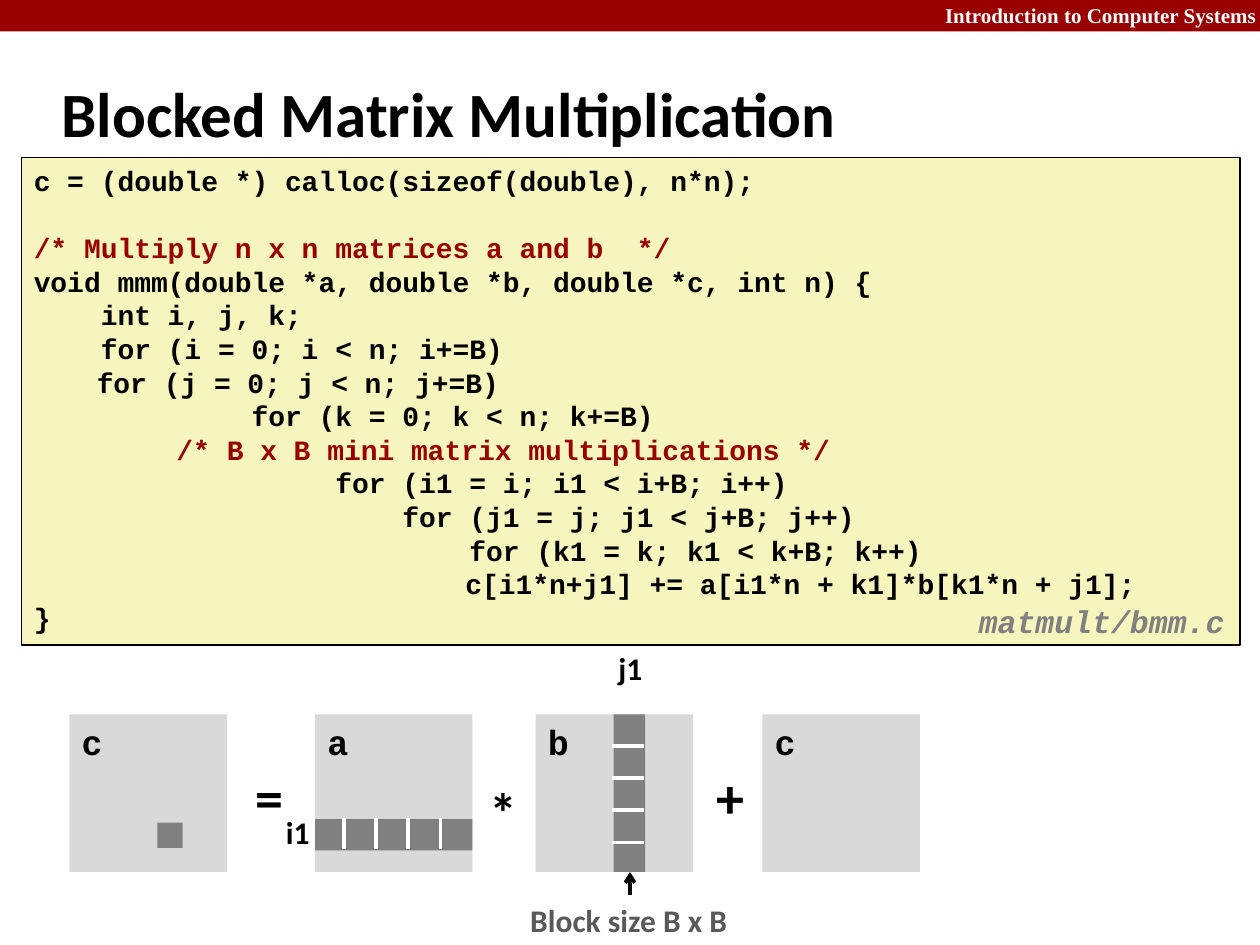
from lxml.etree import SubElement
from pptx import Presentation
from pptx.dml.color import RGBColor
from pptx.enum.shapes import MSO_CONNECTOR, MSO_SHAPE
from pptx.enum.text import MSO_ANCHOR, PP_ALIGN
from pptx.oxml.ns import qn
from pptx.util import Inches, Pt

# Content
HEAD = "Introduction to Computer Systems"
TITLE = "Blocked Matrix Multiplication"
CODE = [
    "c = (double *) calloc(sizeof(double), n*n);",
    "",
    "/* Multiply n x n matrices a and b  */",
    "void mmm(double *a, double *b, double *c, int n) {",
    "    int i, j, k;",
    "    for (i = 0; i < n; i+=B)",
    "\tfor (j = 0; j < n; j+=B)",
    "             for (k = 0; k < n; k+=B)",
    "\t\t /* B x B mini matrix multiplications */",
    "                  for (i1 = i; i1 < i+B; i++)",
    "                      for (j1 = j; j1 < j+B; j++)",
    "                          for (k1 = k; k1 < k+B; k++)",
    "\t                      c[i1*n+j1] += a[i1*n + k1]*b[k1*n + j1];",
    "}",
]
FILE = "matmult/bmm.c"
MATS = [("c", 2.2), ("a", 10), ("b", 17), ("c", 24.2)]  # name, column
SIGNS = [("=", 7.72, 24), ("*", 15.16, 24.48), ("+", 22.36, 24)]
TAGS = [("i1", 8.68, 25.6), ("j1", 19.24, 20.4)]

INK = {"red": "990000", "white": "FFFFFF", "black": "000000", "cream": "F6F5BD",
       "pale": "D9D9D9", "gray": "808080", "dark": "595959"}
MONO = "Courier New"

# Grid of 40 columns by 30 rows; one block is one cell
CELL = 0.25
SIDE = 5       # blocks along a matrix side
TOP = 22.68    # row where the matrices start
STEP = 1.02    # gap between block dividers

deck = Presentation()
deck.slide_width, deck.slide_height = Inches(40 * CELL), Inches(30 * CELL)
page = deck.slides.add_slide(deck.slide_layouts[6])


def grid(*cells):
    return [Inches(n * CELL) for n in cells]


def tint(name):
    return RGBColor.from_string(INK[name])


def rect(x, y, w, h, fill, line=None):
    box = page.shapes.add_shape(MSO_SHAPE.RECTANGLE, *grid(x, y, w, h))
    box.shadow.inherit = False
    box.fill.solid()
    box.fill.fore_color.rgb = tint(fill)
    if line:
        box.line.color.rgb = tint(line)
        box.line.width = Pt(1)
    else:
        box.line.fill.background()
    return box


def text(lines, at=None, box=None, size=18, font="Calibri", ink="black",
         align=PP_ALIGN.LEFT, anchor=MSO_ANCHOR.TOP, wrap=False, slant=False,
         gap=None):
    box = box or page.shapes.add_textbox(*grid(*at))
    frame = box.text_frame
    frame.word_wrap = wrap
    frame.vertical_anchor = anchor
    for n, line in enumerate(lines):
        para = frame.add_paragraph() if n else frame.paragraphs[0]
        para.alignment = align
        para.line_spacing = gap
        run = para.add_run()
        run.text = line
        look = run.font
        look.name, look.size, look.bold, look.italic = font, Pt(size), True, slant
        look.color.rgb = tint("red" if "/*" in line else ink)


def rule(x1, y1, x2, y2, ink="white", arrow=False):
    line = page.shapes.add_connector(MSO_CONNECTOR.STRAIGHT, *grid(x1, y1, x2, y2))
    line.line.color.rgb = tint(ink)
    line.line.width = Pt(2)
    if arrow:
        SubElement(line.line._get_or_add_ln(), qn("a:tailEnd"), type="arrow")
    SubElement(line._element.spPr, qn("a:effectLst"))


# Header and title
rect(0, 0, 40, 1, "red")
text([HEAD], (24, -0.12, 16.28, 1.2), size=12, font="Times New Roman",
     ink="white", align=PP_ALIGN.RIGHT, wrap=True)
text([TITLE], (1.56, 1.92, 33.2, 3.32), size=36, anchor=MSO_ANCHOR.MIDDLE, wrap=True)

# Code panel
text(CODE, box=rect(0.68, 5, 38.68, 15.48, "cream", "black"), size=16,
     font=MONO, wrap=True, gap=Pt(19.2))
text([FILE], (30.68, 19, 8.92, 1.56), font=MONO, ink="gray", slant=True, gap=0.94)

# Matrices
for name, x in MATS:
    text([name], box=rect(x, TOP, SIDE, SIDE, "pale"), size=20, font=MONO, wrap=True)
for sign, x, y in SIGNS:
    text([sign], (x, y, 1.72, 2.56), size=32)
for tag, x, y in TAGS:
    text([tag], (x, y, 1.56, 1.6))

# Result block, row strip and column strip with their dividers
rect(5, 26.12, 0.8, 0.8, "gray")
rect(10, 26, SIDE, 1, "gray")
rect(19.48, TOP, 1, SIDE, "gray")
for n in range(SIDE - 1):
    x, y = 10.92 + n * STEP, TOP + 1 + n * STEP
    rule(x, 25.96, x, 26.96)
    rule(20.44, y, 19.44, y)

# Block size note
text(["Block size B x B"], box=rect(16.44, 28.4, 7.12, 1.6, "white"), ink="dark")
rule(20, 28.4, 20, TOP + SIDE, "black", arrow=True)

deck.save("out.pptx")
